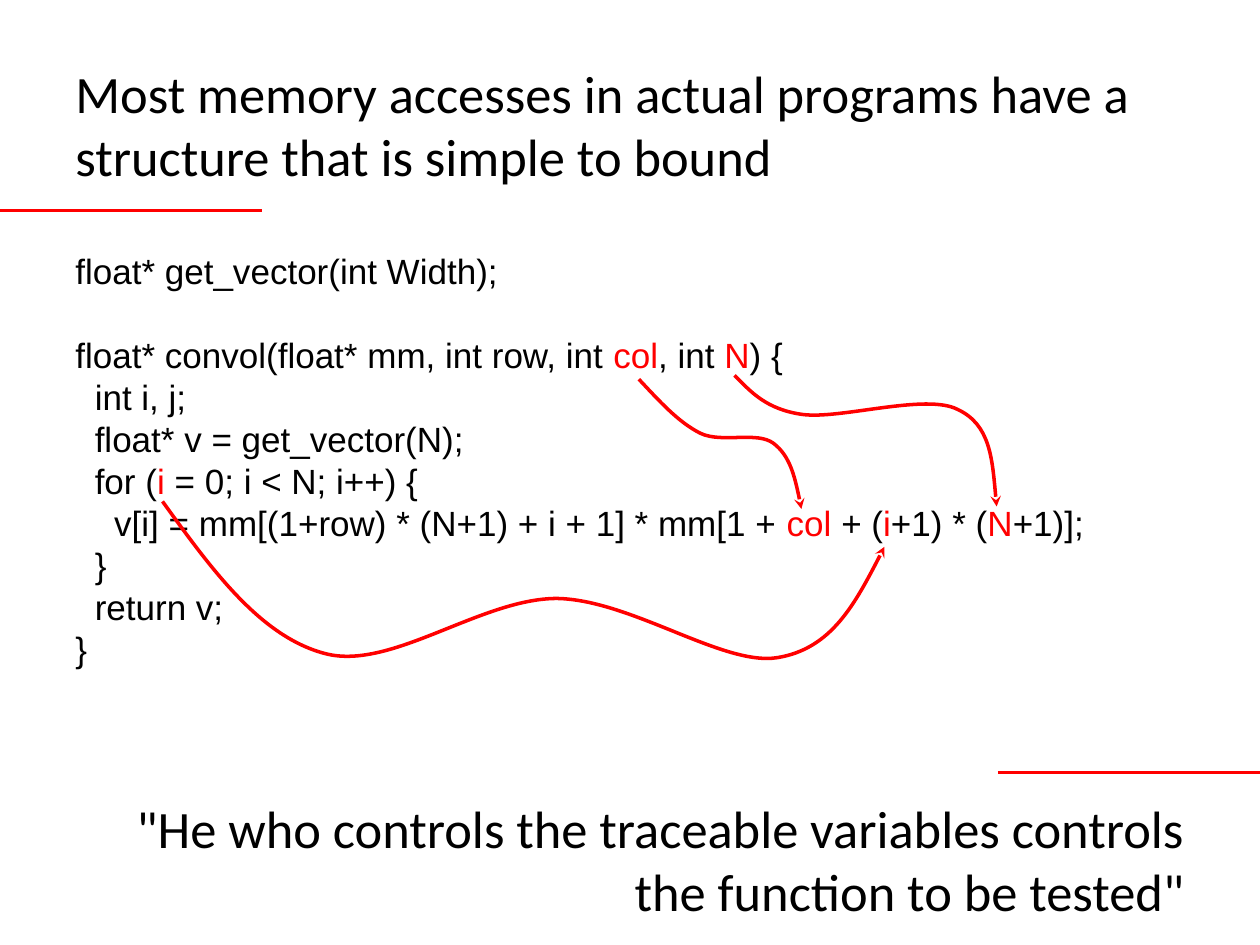
from collections import namedtuple

from lxml import etree
from pptx import Presentation, util as u
from pptx.dml.color import RGBColor
from pptx.enum import shapes, text
from pptx.oxml import ns

BLACK = RGBColor(0x00, 0x00, 0x00)
RED = RGBColor(0xFF, 0x00, 0x00)
CELL = u.Inches(1)
COLUMNS, ROWS = 10, 7.5
RULE_SPAN = 2.08
CODE_PITCH = u.Pt(24)

Box = namedtuple("Box", "left top width height")
TITLE = Box(0.5, 0.3, 9, 1.37)
CODE = Box(0.5, 1.93, 8.27, 3.47)
QUOTE = Box(0.5, 6.13, 9, 1.37)

CODE_BLOCKS = [
    ["float* get_vector(int Width);"],
    [
        "float* convol(float* mm, int row, int `col`, int `N`) {",
        "  int i, j;",
        "  float* v = get_vector(N);",
        "  for (`i` = 0; i < N; i++) {",
        "    v[i] = mm[(1+row) * (N+1) + i + 1] * mm[1 + `col `+ (`i`+1) * (`N`+1)];",
        "  }",
        "  return v;",
        "}",
    ],
]
COL_FLOW = [(4.57, 1.08), (4.73, 1.25), (4.88, 1.42), (5.06, 1.51), (5.23, 1.59),
            (5.51, 1.49), (5.64, 1.59), (5.77, 1.69), (5.82, 1.9), (5.86, 2.11)]
N_FLOW = [(5.33, 1.05), (5.46, 1.18), (5.58, 1.32), (5.87, 1.36), (6.17, 1.4),
          (6.85, 1.19), (7.1, 1.32), (7.36, 1.44), (7.38, 1.76), (7.41, 2.09)]
I_FLOW = [(0.79, 2.05), (1.18, 2.59), (1.57, 3.13), (2.09, 3.26), (2.61, 3.39),
          (3.32, 2.82), (3.92, 2.82), (4.51, 2.83), (5.24, 3.36), (5.67, 3.29),
          (6.1, 3.22), (6.31, 2.82), (6.52, 2.41)]


def grid(*cells):
    """Turn grid cells into slide lengths."""
    return [round(cell * CELL) for cell in cells]


def add_frame(page, box, anchor, wrap, inset):
    """Add an empty text box and return its text frame."""
    frame = page.shapes.add_textbox(*grid(*box)).text_frame
    frame.word_wrap = wrap
    frame.vertical_anchor = anchor
    frame.margin_top = frame.margin_bottom = inset
    return frame


def write(para, words, font="Arial", size=20, align=text.PP_ALIGN.LEFT):
    """Write words into a paragraph, with backticked parts in red."""
    para.alignment = align
    for index, part in enumerate(words.split("`")):
        span = para.add_run()
        span.text = part
        span.font.name = font
        span.font.size = u.Pt(size)
        span.font.color.rgb = RED if index % 2 else BLACK


def add_rule(page, left, top):
    """Draw a short red horizontal rule."""
    start, end, level = grid(left, left + RULE_SPAN, top)
    rule = page.shapes.add_connector(shapes.MSO_CONNECTOR.STRAIGHT, start, level, end, level)
    rule.line.color.rgb = RED
    rule.line.width = u.Pt(2)
    etree.SubElement(rule._element.spPr, ns.qn("a:effectLst"))


def add_statement(page, box, words, align, rule_left, rule_top):
    """Place a large statement with its red rule."""
    add_rule(page, rule_left, rule_top)
    frame = add_frame(page, box, text.MSO_ANCHOR.MIDDLE, True, u.Inches(0.1))
    write(frame.paragraphs[0], words, font="Calibri", size=30, align=align)


def add_flow(page, box, points):
    """Draw a curved red arrow through Bezier points given relative to the box."""
    start, *rest = [grid(box.left + x, box.top + y) for x, y in points]
    builder = page.shapes.build_freeform(*start)
    builder.add_line_segments(rest, close=False)
    flow = builder.convert_to_shape()
    flow.shadow.inherit = False
    flow.fill.background()
    flow.line.color.rgb = RED
    flow.line.width = u.Pt(2)
    etree.SubElement(flow.line._get_or_add_ln(), ns.qn("a:tailEnd"), type="stealth")
    path = next(flow._element.iter(ns.qn("a:path")))
    segments = path.findall(ns.qn("a:lnTo"))
    for first in range(0, len(segments), 3):
        curve = etree.SubElement(path, ns.qn("a:cubicBezTo"))
        for segment in segments[first:first + 3]:
            curve.append(segment[0])
            path.remove(segment)


def add_code(page, box):
    """Place the code listing and the arrows that trace its variables."""
    frame = add_frame(page, box, text.MSO_ANCHOR.TOP, False, u.Inches(0.05))
    para = frame.paragraphs[0]
    for block_index, block in enumerate(CODE_BLOCKS):
        for line_index, line in enumerate(block):
            if block_index or line_index:
                para = frame.add_paragraph()
            para.line_spacing = CODE_PITCH
            if block_index and not line_index:
                para.space_before = CODE_PITCH
            write(para, line)
    for points in (COL_FLOW, N_FLOW, I_FLOW):
        add_flow(page, box, points)


def main():
    """Build the slide and save the deck."""
    deck = Presentation()
    deck.slide_width, deck.slide_height = grid(COLUMNS, ROWS)
    page = deck.slides.add_slide(deck.slide_layouts[6])
    add_statement(
        page, TITLE,
        "Most memory accesses in actual programs have a structure that is simple to bound",
        text.PP_ALIGN.LEFT, 0, TITLE.top + TITLE.height)
    add_statement(
        page, QUOTE,
        '"He who controls the traceable variables controls the function to be tested"',
        text.PP_ALIGN.RIGHT, COLUMNS - RULE_SPAN, QUOTE.top)
    add_code(page, CODE)
    deck.save("out.pptx")


if __name__ == "__main__":
    main()
